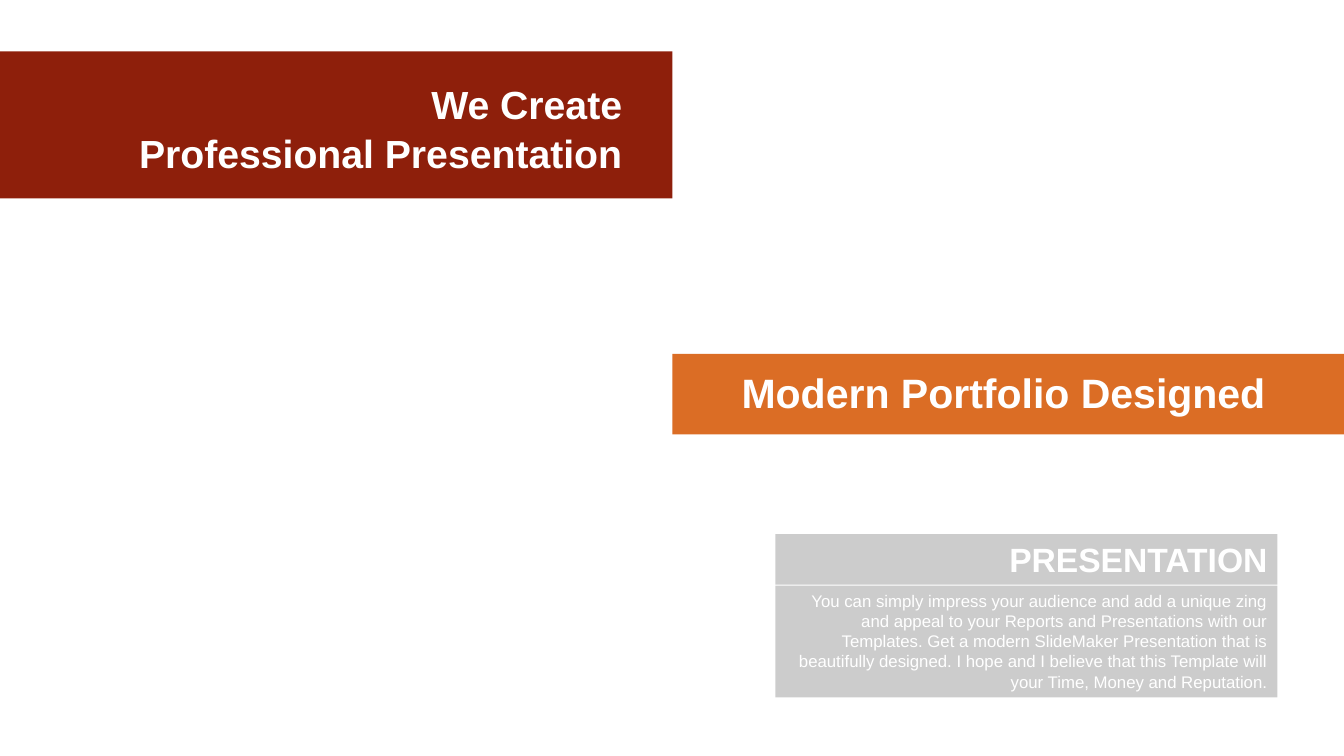
from dataclasses import dataclass

from lxml.etree import SubElement
from pptx import Presentation
from pptx.dml.color import RGBColor
from pptx.enum.shapes import MSO_SHAPE
from pptx.enum.text import MSO_ANCHOR, MSO_AUTO_SIZE, PP_ALIGN
from pptx.oxml.ns import qn
from pptx.util import Inches, Pt


@dataclass(frozen=True)
class Theme:
    font: str = "Arial"
    text: RGBColor = RGBColor(0xFF, 0xFF, 0xFF)
    title_band: RGBColor = RGBColor(0x8E, 0x1F, 0x0B)
    subtitle_band: RGBColor = RGBColor(0xDB, 0x6D, 0x25)
    panel: RGBColor = RGBColor(0, 0, 0)
    panel_opacity: int = 20
    title_size: float = 28
    subtitle_size: float = 29.3
    heading_size: float = 24
    body_size: float = 12


THEME = Theme()

DESCRIPTION = (
    "You can simply impress your audience and add a unique zing and appeal to "
    "your Reports and Presentations with our Templates. Get a modern SlideMaker "
    "Presentation that is beautifully designed. I hope and I believe that this "
    "Template will your Time, Money and Reputation."
)


def add_band(slide, left, top, width, height, color, opacity=100):
    """Add a borderless rectangle; opacity is a percentage."""
    shape = slide.shapes.add_shape(
        MSO_SHAPE.RECTANGLE, Inches(left), Inches(top), Inches(width), Inches(height)
    )
    shape.shadow.inherit = False
    shape.line.fill.background()
    shape.fill.solid()
    shape.fill.fore_color.rgb = color
    if opacity < 100:
        color_element = shape.fill._xPr.find(qn("a:solidFill"))[0]
        SubElement(color_element, qn("a:alpha"), val=str(opacity * 1000))
    return shape


def write_text(shape, text, size, bold=True, anchor=MSO_ANCHOR.TOP, line_spacing=None):
    """Write right-aligned text, one paragraph per line of the string."""
    frame = shape.text_frame
    frame.text = text
    frame.word_wrap = True
    frame.auto_size = MSO_AUTO_SIZE.NONE
    frame.vertical_anchor = anchor
    for paragraph in frame.paragraphs:
        paragraph.alignment = PP_ALIGN.RIGHT
        paragraph.line_spacing = line_spacing
        paragraph.font.name = THEME.font
        paragraph.font.size = Pt(size)
        paragraph.font.bold = bold
        paragraph.font.color.rgb = THEME.text


def place_title(slide, text):
    """Move the title placeholder onto its band, in front of it."""
    title = slide.shapes.title
    title.left, title.top = Inches(1.01), Inches(0.77)
    title.width, title.height = Inches(5.2), Inches(0.94)
    write_text(title, text, THEME.title_size, line_spacing=1.05)
    frame = title.text_frame
    frame.margin_left, frame.margin_right = Inches(0.08), Inches(0.04)
    frame.margin_top = frame.margin_bottom = 0
    title.element.getparent().append(title.element)


def add_subtitle(slide, text):
    box = slide.shapes.add_textbox(
        Inches(7.15), Inches(3.59), Inches(5.5), Inches(0.59)
    )
    write_text(box, text, THEME.subtitle_size, anchor=MSO_ANCHOR.MIDDLE)


def add_panel(slide, top, height, text, size, bold):
    panel = add_band(slide, 7.69, top, 4.98, height, THEME.panel, THEME.panel_opacity)
    write_text(panel, text, size, bold)


def main():
    presentation = Presentation()
    presentation.slide_width = Inches(13.33)
    presentation.slide_height = Inches(7.5)
    title_only = presentation.slide_layouts[5]
    slide = presentation.slides.add_slide(title_only)

    add_band(slide, 6.67, 3.51, 6.67, 0.8, THEME.subtitle_band)
    add_band(slide, -0.01, 0.51, 6.68, 1.46, THEME.title_band)
    add_subtitle(slide, "Modern Portfolio Designed")
    place_title(slide, "We Create\nProfessional Presentation")
    add_panel(slide, 5.3, 0.5, "PRESENTATION", THEME.heading_size, bold=True)
    add_panel(slide, 5.81, 1.11, DESCRIPTION, THEME.body_size, bold=False)

    presentation.save("out.pptx")


if __name__ == "__main__":
    main()
